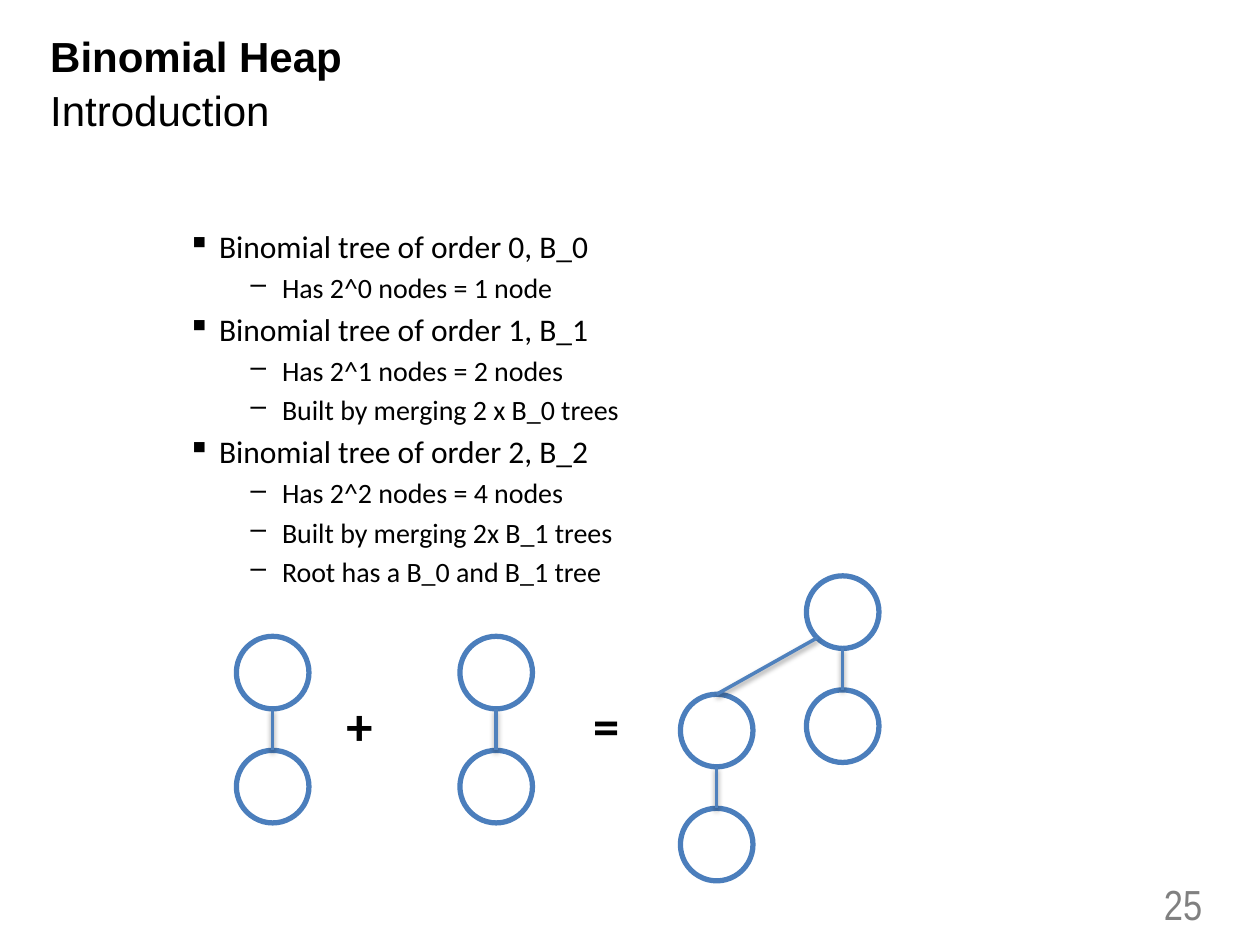
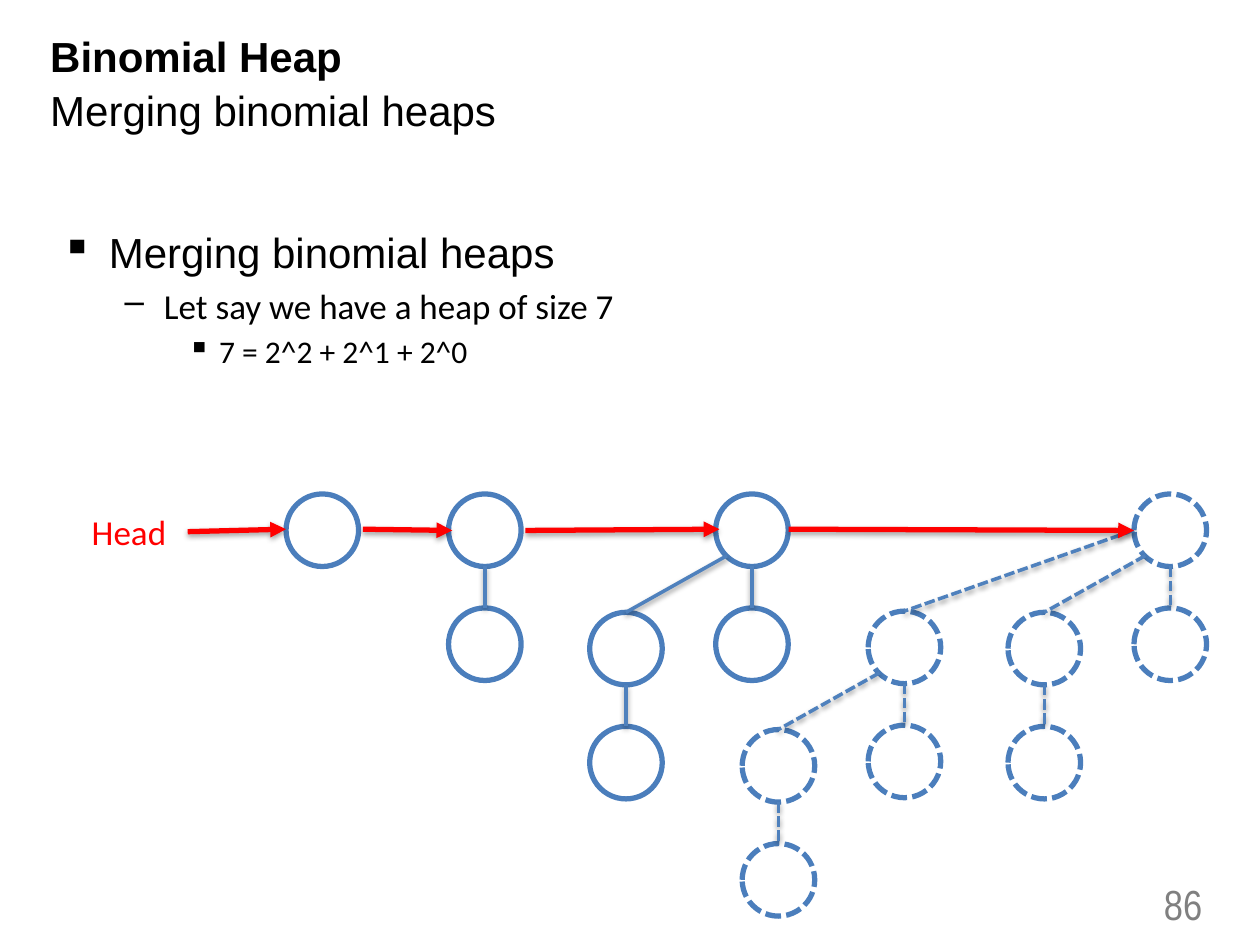
import lxml.etree
import pptx
import pptx.dml.color
import pptx.enum.dml
import pptx.enum.shapes
import pptx.enum.text
import pptx.oxml.ns
import pptx.util

deck = pptx.Presentation()
deck.slide_width = pptx.util.Inches(10)
deck.slide_height = pptx.util.Inches(7.5)

# Grid: 100 columns by 75 rows of square cells
CELL = deck.slide_width // 100
NODE = 5.76
STRAIGHT = pptx.enum.shapes.MSO_CONNECTOR.STRAIGHT
OVAL = pptx.enum.shapes.MSO_SHAPE.OVAL
DASH = pptx.enum.dml.MSO_LINE.SQUARE_DOT
LEFT = pptx.enum.text.PP_ALIGN.LEFT
RIGHT = pptx.enum.text.PP_ALIGN.RIGHT
TOP = pptx.enum.text.MSO_ANCHOR.TOP
MIDDLE = pptx.enum.text.MSO_ANCHOR.MIDDLE

BLACK, GREY, RED = "000000", "808080", "FF0000"
RING, EDGE = "4B7EBC", "4F81BD"

# Text styles: font, size, bold, colour, alignment
STYLES = {
    "title": ("Arial", 24, True, BLACK, LEFT),
    "subtitle": ("Arial", 24, False, BLACK, LEFT),
    "topic": ("Arial", 24, False, BLACK, LEFT),
    "point": ("Calibri", 20, False, BLACK, LEFT),
    "order": ("Calibri", 18, False, BLACK, LEFT),
    "fact": ("Calibri", 16, False, BLACK, LEFT),
    "sign": ("Calibri", 30, True, BLACK, LEFT),
    "head": ("Calibri", 20, False, RED, LEFT),
    "number": ("Arial Narrow", 24, False, GREY, RIGHT),
}

# Bullets: level, left margin and hanging indent in cells, character
BULLETS = {
    "topic": (0, 3.75, 3.75, "▪"),
    "point": (1, 8.13, 3.13, "–"),
    "order": (2, 12.5, 2.5, "▪"),
    "fact": (3, 17.5, 2.5, "–"),
}

# Where the child of each order hangs: offset of the child from its parent,
# then the point of the parent's ring where the edge starts
CHILDREN = [
    (0, 9.05, NODE / 2, NODE),
    (-10, 9.4, 0.9, 4.9),
    (-21.1, 9.3, 0, NODE / 2),
]


def colour(code):
    return pptx.dml.color.RGBColor.from_string(code)


def draw_tree(page, left, top, order, dash):
    """Draw a binomial tree with its root's corner at left, top."""
    box = [int(value * CELL) for value in (left, top, NODE, NODE)]
    ring = page.shapes.add_shape(OVAL, *box)
    ring.shadow.inherit = False
    ring.fill.background()
    ring.line.color.rgb = colour(RING)
    ring.line.width = pptx.util.Pt(3)
    ring.line.dash_style = dash
    for child, (across, down, start_x, start_y) in enumerate(CHILDREN[:order]):
        draw_tree(page, left + across, top + down, child, dash)
        ends = (left + start_x, top + start_y,
                left + across + NODE / 2, top + down)
        edge = page.shapes.add_connector(
            STRAIGHT, *[int(value * CELL) for value in ends])
        edge.line.color.rgb = colour(EDGE)
        edge.line.width = pptx.util.Pt(2)
        edge.line.dash_style = dash


# Content: trees are left, top, order, dash; labels are left, top, width,
# height, text, style; arrows run from x, y to x, y
slides = [
    {
        "number": "25",
        "subtitle": "Introduction",
        "body": [
            ("Binomial tree of order 0, B_0", "order"),
            ("Has 2^0 nodes = 1 node", "fact"),
            ("Binomial tree of order 1, B_1", "order"),
            ("Has 2^1 nodes = 2 nodes", "fact"),
            ("Built by merging 2 x B_0 trees", "fact"),
            ("Binomial tree of order 2, B_2", "order"),
            ("Has 2^2 nodes = 4 nodes", "fact"),
            ("Built by merging 2x B_1 trees", "fact"),
            ("Root has a B_0 and B_1 tree", "fact"),
        ],
        "trees": [(18.76, 50.5, 1, None), (36.5, 50.5, 1, None),
                  (64, 45.7, 2, None)],
        "labels": [(26.5, 54.5, 4.1, 6.1, "+", "sign"),
                   (46.1, 54.5, 4.1, 6.1, "=", "sign")],
        "arrows": [],
    },
    {
        "number": "86",
        "subtitle": "Merging binomial heaps",
        "body": [
            ("Merging binomial heaps", "topic"),
            ("Let say we have a heap of size 7", "point"),
            ("7 = 2^2 + 2^1 + 2^0", "order"),
        ],
        "trees": [(22.7, 39.2, 0, None), (35.6, 39.2, 1, None),
                  (56.8, 39.2, 2, None), (90, 39.2, 3, DASH)],
        "labels": [(6.3, 40, 8, 4.4, "Head", "head")],
        "arrows": [(14.9, 42.2, 22.7, 42), (28.8, 42, 35.9, 42.1),
                   (41.7, 42.1, 57.1, 42), (62.6, 42, 90, 42.1)],
    },
]

for content in slides:
    page = deck.slides.add_slide(deck.slide_layouts[6])

    # Diagram
    for tree in content["trees"]:
        draw_tree(page, *tree)
    for ends in content["arrows"]:
        arrow = page.shapes.add_connector(
            STRAIGHT, *[int(value * CELL) for value in ends])
        arrow.line.color.rgb = colour(RED)
        arrow.line.width = pptx.util.Pt(3)
        lxml.etree.SubElement(arrow.line._get_or_add_ln(),
                              pptx.oxml.ns.qn("a:tailEnd"), type="triangle")

    # Text: place, wrapping, anchor, paragraphs
    titles = [("Binomial Heap", "title"), (content["subtitle"], "subtitle")]
    texts = [
        ((83.1, 69.7, 13.3, 4), True, MIDDLE, [(content["number"], "number")]),
        ((3.9, 17.5, 90, 49.5), True, TOP, content["body"]),
        ((3, 2.4, 57.1, 8.5), True, TOP, titles),
    ]
    for *place, label, style in content["labels"]:
        texts.append((place, False, TOP, [(label, style)]))

    for place, wrap, anchor, paragraphs in texts:
        box = page.shapes.add_textbox(*[int(value * CELL) for value in place])
        frame = box.text_frame
        frame.word_wrap = wrap
        frame.vertical_anchor = anchor
        for index, (text, style) in enumerate(paragraphs):
            para = frame.add_paragraph() if index else frame.paragraphs[0]
            para.text = text
            font, size, bold, code, para.alignment = STYLES[style]
            if index:
                para.space_before = pptx.util.Pt(size * 0.2)
            if style in ("title", "subtitle"):
                para.line_spacing = 0.9
            if style in BULLETS:
                para.level, margin, hang, mark = BULLETS[style]
                props = para._p.get_or_add_pPr()
                props.set("marL", str(int(margin * CELL)))
                props.set("indent", str(int(-hang * CELL)))
                lxml.etree.SubElement(
                    props, pptx.oxml.ns.qn("a:buChar"), char=mark)
            para.font.name = font
            para.font.size = pptx.util.Pt(size)
            para.font.bold = bold
            para.font.color.rgb = colour(code)

deck.save("out.pptx")
